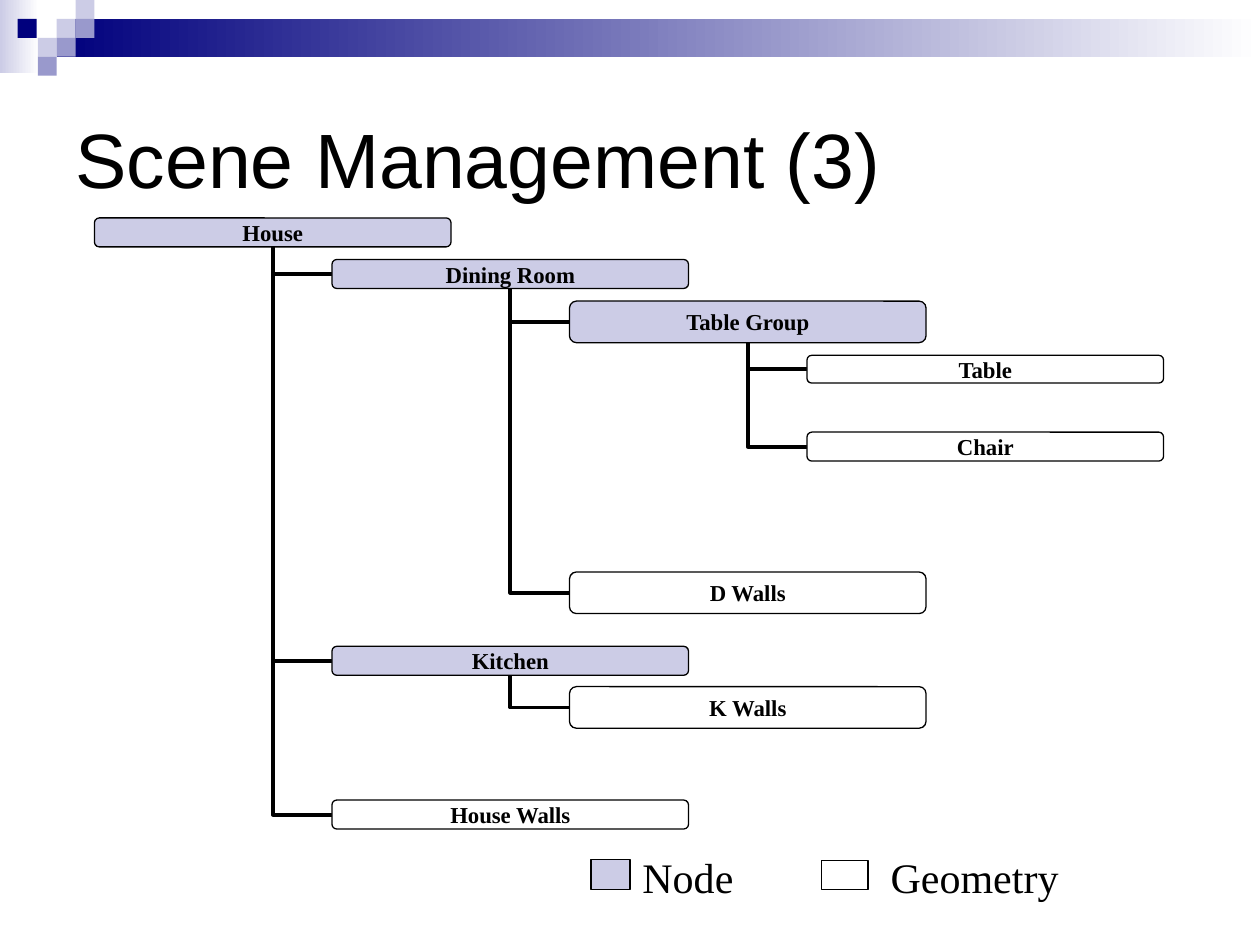
from dataclasses import dataclass
from typing import Optional

from lxml import etree
from pptx import Presentation
from pptx.dml.color import RGBColor
from pptx.enum.shapes import MSO_CONNECTOR, MSO_SHAPE
from pptx.enum.text import MSO_ANCHOR, PP_ALIGN
from pptx.oxml.ns import qn
from pptx.util import Inches, Pt

RECT, ROUND = MSO_SHAPE.RECTANGLE, MSO_SHAPE.ROUNDED_RECTANGLE
ELBOW = MSO_CONNECTOR.ELBOW
MIDDLE, TOP = MSO_ANCHOR.MIDDLE, MSO_ANCHOR.TOP
LEFT, CENTER = PP_ALIGN.LEFT, PP_ALIGN.CENTER

BLACK = RGBColor(0x00, 0x00, 0x00)
WHITE = RGBColor(0xFF, 0xFF, 0xFF)
NAVY = RGBColor(0x00, 0x00, 0x7D)
LILAC = RGBColor(0xCC, 0xCC, 0xE6)
VIOLET = RGBColor(0x99, 0x99, 0xCC)

TITLE_FONT = dict(name="Arial", size=Pt(44))
BOX_FONT = dict(name="Times New Roman", size=Pt(13), bold=True)
LEGEND_FONT = dict(name="Times New Roman", size=Pt(24))

# Each tree level is indented by two thirds of a box width
BOX_W, TREE_X, INDENT = 2.83, 0.75, 1.885
TILE = 0.15


@dataclass
class TreeBox:
    label: str
    level: int
    top: float
    height: float
    fill: RGBColor
    parent: Optional[str] = None

    @property
    def left(self) -> float:
        return TREE_X + self.level * INDENT


TREE = [
    TreeBox("House", 0, 1.73, 0.23, LILAC),
    TreeBox("Dining Room", 1, 2.06, 0.23, LILAC, "House"),
    TreeBox("Kitchen", 1, 5.13, 0.23, LILAC, "House"),
    TreeBox("House Walls", 1, 6.35, 0.23, WHITE, "House"),
    TreeBox("Table Group", 2, 2.39, 0.33, LILAC, "Dining Room"),
    TreeBox("D Walls", 2, 4.54, 0.33, WHITE, "Dining Room"),
    TreeBox("Table", 3, 2.82, 0.22, WHITE, "Table Group"),
    TreeBox("Chair", 3, 3.43, 0.23, WHITE, "Table Group"),
    TreeBox("K Walls", 2, 5.45, 0.33, WHITE, "Kitchen"),
]

# Corner mosaic: left, top, colour
TILES = [
    (0.45, 0.15, LILAC), (0.6, 0, LILAC), (0.6, 0.15, VIOLET), (0.3, 0.3, LILAC),
    (0.14, 0.15, NAVY), (0.45, 0.3, VIOLET), (0.3, 0.45, VIOLET),
]


def set_font(font, formats: dict) -> None:
    for name, value in formats.items():
        setattr(font, name, value)
    font.color.rgb = BLACK


def add_box(s, kind, left: float, top: float, width: float, height: float,
            fill: RGBColor, outlined: bool = True):
    sp = s.shapes.add_shape(kind, Inches(left), Inches(top), Inches(width), Inches(height))
    sp.shadow.inherit = False
    sp.fill.solid()
    sp.fill.fore_color.rgb = fill
    if outlined:
        sp.line.color.rgb = BLACK
        sp.line.width = Pt(0.75)
    else:
        sp.line.fill.background()
    return sp


def add_fade(s, left: float, top: float, width: float, height: float, color: RGBColor) -> None:
    sp = add_box(s, RECT, left, top, width, height, color, outlined=False)
    sp.fill.gradient()
    sp.fill.gradient_angle = 0
    for stop, rgb, position in zip(sp.fill.gradient_stops, (color, WHITE), (0, 1)):
        stop.color.rgb = rgb
        stop.position = position


def add_branch(s, parent: TreeBox, child: TreeBox) -> None:
    con = s.shapes.add_connector(
        ELBOW, Inches(parent.left + BOX_W / 2), Inches(parent.top + parent.height),
        Inches(child.left), Inches(child.top + child.height / 2))
    con.line.color.rgb = BLACK
    con.line.width = Pt(2.25)
    # One bend only, turned to run left from the child and then up
    spPr = con._element.spPr
    spPr.find(qn("a:prstGeom")).set("prst", "bentConnector2")
    spPr.find(qn("a:xfrm")).set("rot", "10800000")
    etree.SubElement(spPr, qn("a:effectLst"))


def add_tree_box(s, box: TreeBox) -> None:
    sp = add_box(s, ROUND, box.left, box.top, BOX_W, box.height, box.fill)
    sp.adjustments[0] = 0.167
    tf = sp.text_frame
    tf.word_wrap = False
    tf.vertical_anchor = MIDDLE
    tf.margin_left = tf.margin_right = Inches(0.05)
    tf.margin_top = tf.margin_bottom = Inches(0.03)
    p = tf.paragraphs[0]
    p.text = box.label
    p.alignment = CENTER
    set_font(p.runs[0].font, BOX_FONT)


def add_title(s, text: str) -> None:
    sp = s.shapes.title
    sp.left, sp.top, sp.width, sp.height = (Inches(v) for v in (0.5, 0.5, 9, 1.5))
    tf = sp.text_frame
    tf.vertical_anchor = MIDDLE
    p = tf.paragraphs[0]
    p.text = text
    p.alignment = LEFT
    set_font(p.runs[0].font, TITLE_FONT)


def add_legend(s) -> None:
    add_box(s, RECT, 4.69, 6.82, 0.31, 0.24, LILAC)
    tf = s.shapes.add_textbox(Inches(5), Inches(6.71), Inches(4.25), Inches(0.5)).text_frame
    tf.word_wrap = True
    tf.vertical_anchor = TOP
    p = tf.paragraphs[0]
    tabs = etree.SubElement(p._p.get_or_add_pPr(), qn("a:tabLst"))
    etree.SubElement(tabs, qn("a:tab"), pos=str(Inches(1.97)), algn="l")
    r = p.add_run()
    r.text = "Node\tGeometry"
    set_font(r.font, LEGEND_FONT)
    add_box(s, RECT, 6.52, 6.83, 0.37, 0.23, WHITE)


def main() -> None:
    prs = Presentation()
    prs.slide_width, prs.slide_height = Inches(10), Inches(7.5)
    s = prs.slides.add_slide(prs.slide_layouts[5])

    # Header band and mosaic
    add_fade(s, 0, 0, 0.31, 0.58, LILAC)
    add_fade(s, 0.45, 0.15, 9.55, 0.3, NAVY)
    for left, top, color in TILES:
        add_box(s, RECT, left, top, TILE, TILE, color, outlined=False)

    add_title(s, "Scene Management (3)")

    # Scene tree: branches lie behind the boxes
    by_label = {box.label: box for box in TREE}
    for box in TREE:
        if box.parent:
            add_branch(s, by_label[box.parent], box)
    for box in TREE:
        add_tree_box(s, box)

    add_legend(s)
    prs.save("out.pptx")


if __name__ == "__main__":
    main()
